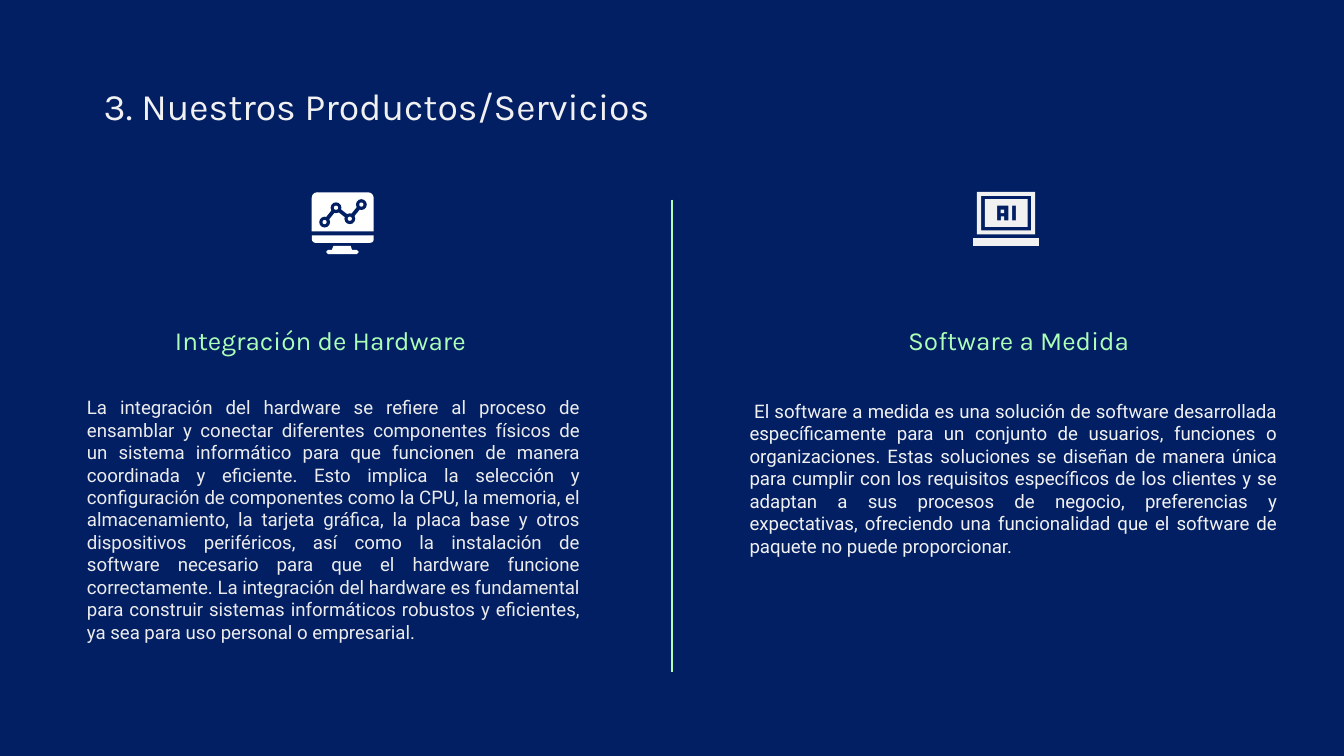
from dataclasses import dataclass
from itertools import pairwise

from lxml import etree
from pptx import Presentation
from pptx.dml.color import RGBColor
from pptx.enum.shapes import MSO_CONNECTOR, MSO_SHAPE
from pptx.enum.text import MSO_ANCHOR, PP_ALIGN
from pptx.oxml.ns import qn
from pptx.util import Pt

STRAIGHT = MSO_CONNECTOR.STRAIGHT
OVAL = MSO_SHAPE.OVAL
ROUNDED_TOP = MSO_SHAPE.ROUND_2_SAME_RECTANGLE
LEFT, CENTER, JUSTIFY = PP_ALIGN.LEFT, PP_ALIGN.CENTER, PP_ALIGN.JUSTIFY
TOP, BOTTOM = MSO_ANCHOR.TOP, MSO_ANCHOR.BOTTOM


@dataclass(frozen=True)
class Theme:
    background: RGBColor = RGBColor(0x02, 0x1F, 0x64)
    accent: RGBColor = RGBColor(0xAD, 0xFF, 0xB7)
    light: RGBColor = RGBColor(0xF1, 0xF1, 0xF1)
    soft: RGBColor = RGBColor(0xEC, 0xEC, 0xEC)
    white: RGBColor = RGBColor(0xFF, 0xFF, 0xFF)
    heading_font: str = "Karla"
    body_font: str = "Roboto"
    title_size: int = 20
    heading_size: int = 14
    body_size: int = 10


THEME = Theme()

HARDWARE = (
    "La integración del hardware se refiere al proceso de ensamblar y conectar "
    "diferentes componentes físicos de un sistema informático para que funcionen "
    "de manera coordinada y eficiente. Esto implica la selección y configuración "
    "de componentes como la CPU, la memoria, el almacenamiento, la tarjeta gráfica, "
    "la placa base y otros dispositivos periféricos, así como la instalación de "
    "software necesario para que el hardware funcione correctamente. La integración "
    "del hardware es fundamental para construir sistemas informáticos robustos y "
    "eficientes, ya sea para uso personal o empresarial."
)
SOFTWARE = (
    "El software a medida es una solución de software desarrollada específicamente "
    "para un conjunto de usuarios, funciones o organizaciones. Estas soluciones se "
    "diseñan de manera única para cumplir con los requisitos específicos de los "
    "clientes y se adaptan a sus procesos de negocio, preferencias y expectativas, "
    "ofreciendo una funcionalidad que el software de paquete no puede proporcionar."
)


def add_text(slide, text, box, font, size, color, align=LEFT, anchor=TOP,
             margin=0, first_line=0):
    frame = slide.shapes.add_textbox(*map(Pt, box)).text_frame
    frame.word_wrap = True
    frame.vertical_anchor = anchor
    frame.margin_left = frame.margin_right = Pt(7.2)
    frame.margin_top = frame.margin_bottom = Pt(7.2)
    paragraph = frame.paragraphs[0]
    paragraph.text = text
    paragraph.alignment = align
    paragraph.font.name = font
    paragraph.font.size = Pt(size)
    paragraph.font.color.rgb = color
    properties = paragraph._p.get_or_add_pPr()
    properties.set("marL", str(Pt(margin)))
    properties.set("indent", str(Pt(first_line)))


def add_heading(slide, text, left, margin=0):
    add_text(slide, text, (left, 152.5, 212.5, 45.5), THEME.heading_font,
             THEME.heading_size, THEME.accent, CENTER, BOTTOM, margin)


def add_body(slide, text, box, color, margin, first_line=0):
    add_text(slide, text, box, THEME.body_font, THEME.body_size, color,
             JUSTIFY, TOP, margin, first_line)


def add_line(slide, start, end, color, width):
    line = slide.shapes.add_connector(STRAIGHT, *map(Pt, (*start, *end)))
    line.line.color.rgb = color
    line.line.width = Pt(width)
    etree.SubElement(line._element.spPr, qn("a:effectLst"))


def paint(shape, color):
    shape.shadow.inherit = False
    shape.fill.solid()
    shape.fill.fore_color.rgb = color
    shape.line.fill.background()


def add_solid(slide, kind, box, color):
    shape = slide.shapes.add_shape(kind, *map(Pt, box))
    paint(shape, color)
    return shape


def add_dot(slide, center, radius, color):
    x, y = center
    add_solid(slide, OVAL, (x - radius, y - radius, 2 * radius, 2 * radius), color)


def add_outline(slide, contours, color):
    """Fill closed contours as one shape; a contour inside another is a hole."""
    builder = None
    for contour in contours:
        first, *rest = [(Pt(x), Pt(y)) for x, y in contour]
        if builder is None:
            builder = slide.shapes.build_freeform(*first)
        else:
            builder.move_to(*first)
        builder.add_line_segments(rest, close=True)
    paint(builder.convert_to_shape(), color)


def rectangle(left, top, right, bottom):
    return [(left, top), (right, top), (right, bottom), (left, bottom)]


def add_monitor_icon(slide):
    screen = add_solid(slide, ROUNDED_TOP, (167, 103, 33.2, 21), THEME.white)
    screen.adjustments[0] = 0.14
    chin = add_solid(slide, ROUNDED_TOP, (167, 126.1, 33.2, 4), THEME.white)
    chin.adjustments[0] = 0.5
    chin.rotation = 180
    stand = [(178.6, 131.8), (187.9, 131.8), (188.6, 133.9), (191.2, 133.9),
             (192.2, 135), (191.2, 136.1), (175.7, 136.1), (174.7, 135),
             (175.7, 133.9), (177.8, 133.9)]
    add_outline(slide, [stand], THEME.white)

    chart_points = [(173.9, 119), (180, 111.3), (187.4, 117.2), (193.6, 109.6)]
    for start, end in pairwise(chart_points):
        add_line(slide, start, end, THEME.background, 2)
    for point in chart_points:
        add_dot(slide, point, 2.9, THEME.background)
        add_dot(slide, point, 1.1, THEME.white)


def add_laptop_icon(slide):
    letter_a = [(534.2, 110.2), (540.2, 110.2), (540.2, 118.1), (538, 118.1),
                (538, 116), (536.2, 116), (536.2, 118.1), (534.2, 118.1)]
    lid = [
        rectangle(523.4, 102.8, 554.6, 125.6),
        rectangle(525.6, 105, 552.4, 123.4),
        rectangle(527.6, 106.7, 550.6, 121.6),
        letter_a,
        rectangle(536.1, 112.3, 538, 114.2),
        rectangle(542.2, 110.2, 544.3, 118.1),
    ]
    add_outline(slide, lid, THEME.light)
    add_outline(slide, [rectangle(521.4, 127.4, 556.6, 131.6)], THEME.light)


def main():
    presentation = Presentation()
    presentation.slide_width, presentation.slide_height = Pt(720), Pt(405)
    slide = presentation.slides.add_slide(presentation.slide_layouts[6])
    slide.background.fill.solid()
    slide.background.fill.fore_color.rgb = THEME.background

    add_text(slide, "3. Nuestros Productos/Servicios", (48.5, 37.5, 607, 45),
             THEME.heading_font, THEME.title_size, THEME.light)
    add_line(slide, (360, 107), (360, 360), THEME.accent, 0.75)

    add_monitor_icon(slide)
    add_heading(slide, "Integración de Hardware", 65.5)
    add_body(slide, HARDWARE, (27.5, 205, 290, 168), THEME.soft, margin=12)

    add_laptop_icon(slide)
    add_heading(slide, "Software a Medida", 433.5, margin=12)
    add_body(slide, SOFTWARE, (358.5, 207, 332.5, 164), THEME.light,
             margin=36, first_line=2.5)

    presentation.save("out.pptx")


if __name__ == "__main__":
    main()
